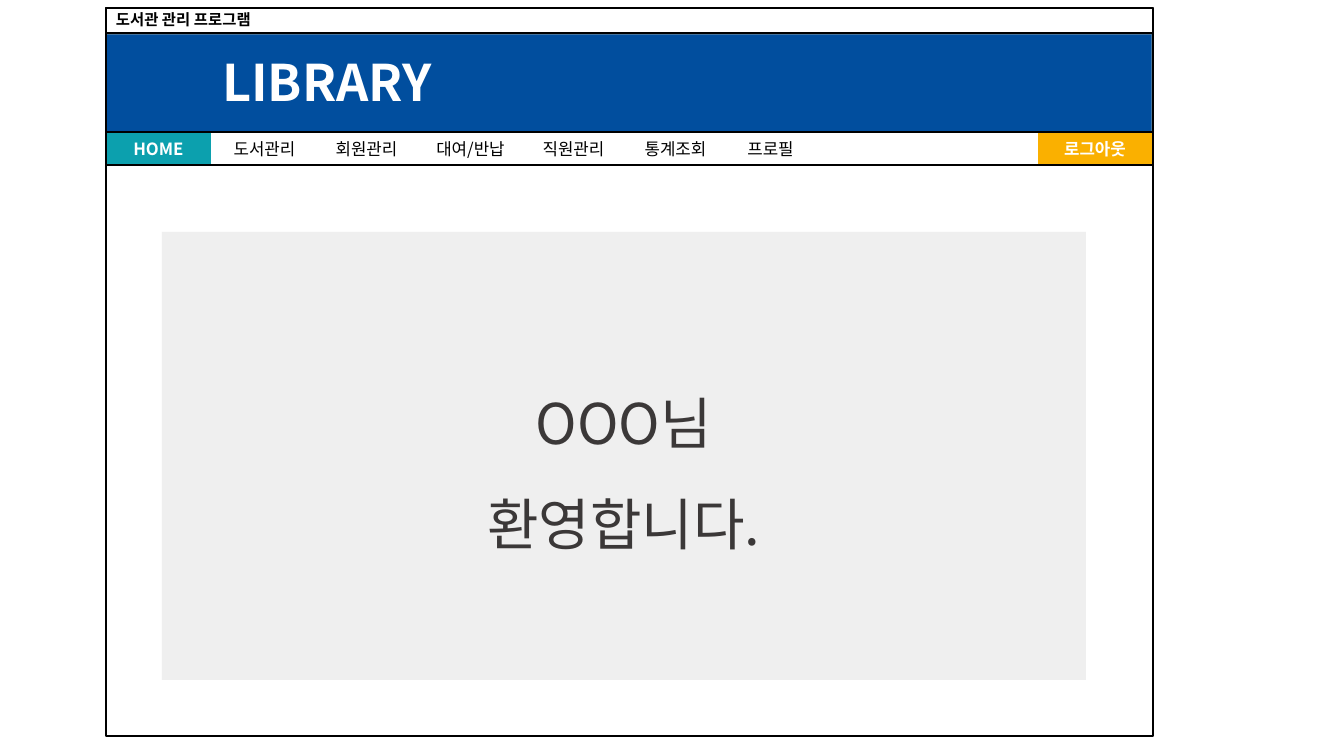
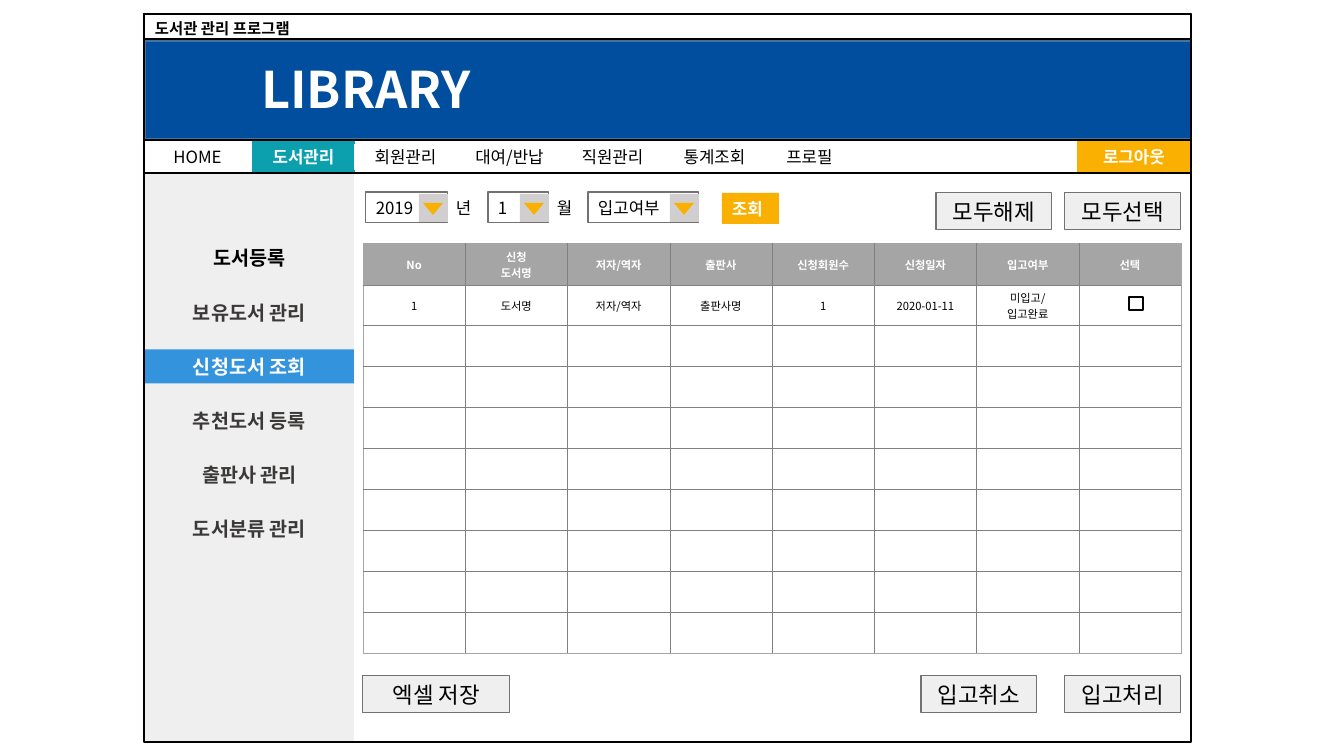
from dataclasses import dataclass

from lxml import etree
from pptx import Presentation
from pptx import util as u
from pptx.dml import color
from pptx.enum import shapes, text
from pptx.oxml import ns

CAPTION = "도서관 관리 프로그램"
TITLE = "LIBRARY"
LOGOUT = ("로그아웃", 932, 114)
TABS = [
    ("HOME", 0, 105),
    ("도서관리", 107, 103),
    ("회원관리", 209, 103),
    ("대여/반납", 313, 103),
    ("직원관리", 416, 103),
    ("통계조회", 518, 103),
    ("프로필", 613, 103),
]
WELCOME = ["OOO님", "환영합니다."]
MENU = ["도서등록", "보유도서 관리", "신청도서 조회", "추천도서 등록", "출판사 관리", "도서분류 관리"]
MENU_CURRENT = "신청도서 조회"
PICKERS = [("2019", 366, 82, "년"), ("1", 488, 61, "월"), ("입고여부", 588, 111, "")]
SEARCH = "조회"
BUTTONS = [
    ("모두해제", 936, 193, 116),
    ("모두선택", 1065, 193, 116),
    ("엑셀 저장", 363, 676, 147),
    ("입고취소", 921, 676, 116),
    ("입고처리", 1065, 676, 116),
]
HEADER = ["No", "신청\n도서명", "저자/역자", "출판사", "신청회원수", "신청일자", "입고여부", "선택"]
REQUEST = ["1", "도서명", "저자/역자", "출판사명", "1", "2020-01-11", "미입고/\n입고완료", ""]
EMPTY_ROWS = 8


@dataclass(frozen=True)
class Theme:
    font: str = "Noto Sans CJK KR"
    black: str = "000000"
    white: str = "FFFFFF"
    ink: str = "3B3838"
    blue: str = "014E9E"
    blue_edge: str = "43739E"
    teal: str = "0CA0AE"
    amber: str = "FAB000"
    sky: str = "3493DD"
    panel: str = "EFEFEF"
    picker: str = "D0CECE"
    edge: str = "767171"
    head: str = "A5A5A5"
    grid: str = "808080"
    welcome: int = 40
    title: int = 36
    button: int = 16
    menu: int = 14
    label: int = 12
    caption: int = 11
    cell: int = 8


THEME = Theme()
KIND = shapes.MSO_SHAPE
LEFT, CENTER = text.PP_ALIGN.LEFT, text.PP_ALIGN.CENTER
MIDDLE = text.MSO_ANCHOR.MIDDLE
BODY_LAYOUT, TITLE_LAYOUT = 1, 5
SCALE = u.Inches(1) / 100.8


def px(length):
    return u.Emu(round(length * SCALE))


def rgb(code):
    return color.RGBColor.from_string(code)


def assign(target, values):
    for name, value in values.items():
        setattr(target, name, value)


def place(item, area):
    assign(item, dict(zip(("left", "top", "width", "height"), map(px, area))))


def paint(item, fill=None, line=None, weight=1):
    if fill:
        item.fill.solid()
        item.fill.fore_color.rgb = rgb(fill)
    else:
        item.fill.background()
    if line:
        item.line.color.rgb = rgb(line)
        item.line.width = u.Pt(weight)
    else:
        item.line.fill.background()


def write(frame, lines, size, ink=THEME.black, bold=False, align=CENTER, paragraph=None):
    for index, line in enumerate(lines):
        para = frame.paragraphs[0] if index == 0 else frame.add_paragraph()
        assign(para, {"alignment": align, **(paragraph or {})})
        if not line:
            para._p.get_or_add_endParaRPr().set("sz", str(size * 100))
            continue
        span = para.add_run()
        span.text = line
        assign(span.font, {"size": u.Pt(size), "bold": bold, "name": THEME.font})
        span.font.color.rgb = rgb(ink)
        east = etree.SubElement(span.font._element, ns.qn("a:ea"))
        east.set("typeface", THEME.font)


def add_box(page, area, fill=None, line=None, weight=1, kind=KIND.RECTANGLE, label="", **style):
    box = page.shapes.add_shape(kind, *map(px, area))
    box.shadow.inherit = False
    paint(box, fill, line, weight)
    if label:
        assign(box.text_frame, {"word_wrap": True, "vertical_anchor": MIDDLE})
        write(box.text_frame, [label], **style)


def add_label(page, area, label, **style):
    box = page.shapes.add_textbox(*map(px, area))
    assign(box.text_frame, {"word_wrap": True, "vertical_anchor": MIDDLE})
    write(box.text_frame, [label], **style)


def fill_placeholder(page, holder, area, lines, frame=None, **style):
    page.shapes._spTree.append(holder._element)
    place(holder, area)
    assign(holder.text_frame, {
        "word_wrap": True, "vertical_anchor": MIDDLE,
        "auto_size": text.MSO_AUTO_SIZE.NONE, **(frame or {}),
    })
    write(holder.text_frame, lines, **style)


def plain_list(holder):
    for para in holder.text_frame.paragraphs:
        props = para._p.get_or_add_pPr()
        for name in ("marL", "indent"):
            props.set(name, "0")
        etree.SubElement(props, ns.qn("a:buNone"))


def add_window(deck, layout, left, caption_top, banner, nav, current):
    page = deck.slides.add_slide(deck.slide_layouts[layout])
    add_box(page, (left, banner, 1046, 98), THEME.blue, THEME.blue_edge)
    fill_placeholder(page, page.shapes.title, (left + 106, banner + 11, 230, 72), [TITLE],
                     frame={"margin_right": 0}, size=THEME.title, ink=THEME.white,
                     bold=True, align=LEFT)
    add_label(page, (left, caption_top, 309, 29), CAPTION, size=THEME.caption,
              bold=True, align=LEFT)
    for label, offset, width in TABS:
        active = label == current
        area = (left + offset, nav, width, 33) if active else (left + offset, nav + 4, width, 26)
        add_box(page, area, THEME.teal if active else THEME.white, kind=KIND.FLOWCHART_PROCESS,
                label=label, size=THEME.label, bold=active,
                ink=THEME.white if active else THEME.black)
    label, offset, width = LOGOUT
    add_box(page, (left + offset, nav, width, 33), THEME.amber, kind=KIND.FLOWCHART_PROCESS,
            label=label, size=THEME.label, ink=THEME.white, bold=True)
    return page


def add_outlines(page, left, top, nav):
    for y, height in ((top, 728), (top, 25), (nav, 33)):
        add_box(page, (left, y, 1047, height), line=THEME.black, kind=KIND.FLOWCHART_PROCESS)


def add_menu(page, left):
    first, pitch, width, height = 241, 54.2, 209, 34
    add_box(page, (left, 174, width, 567), THEME.panel)
    for index, label in enumerate(MENU):
        area = (left, first + pitch * index, width, height)
        style = {"size": THEME.menu, "bold": True}
        if label == MENU_CURRENT:
            add_box(page, area, THEME.sky, label=label, ink=THEME.white, **style)
        else:
            add_label(page, area, label, ink=THEME.ink if index else THEME.black, **style)


def add_picker(page, label, left, width, suffix):
    top, arrow = 192, 29
    style = {"size": THEME.label, "align": LEFT}
    add_box(page, (left, top, width, 31), line=THEME.edge, weight=0.75, label=label, **style)
    add_box(page, (left + width - arrow, top + 2, arrow, 28), THEME.picker)
    add_box(page, (left + width - arrow + 4, top + 11, 20, 12), THEME.amber,
            kind=KIND.FLOWCHART_MERGE)
    if suffix:
        add_label(page, (left + width - 2, top + 1, 23, 30), suffix, **style)


def border(cell, edges):
    props = cell._tc.get_or_add_tcPr()
    for index, (side, (code, weight)) in enumerate(edges.items()):
        line = etree.Element(ns.qn("a:" + side), w=str(u.Pt(weight)))
        fill = etree.SubElement(line, ns.qn("a:solidFill"))
        etree.SubElement(fill, ns.qn("a:srgbClr"), val=code)
        props.insert(index, line)


def add_requests(page):
    rows = [HEADER, REQUEST] + [[""] * len(HEADER)] * EMPTY_ROWS
    heights = [42, 40] + [41] * EMPTY_ROWS
    last_row, last_col = len(rows) - 1, len(HEADER) - 1
    area = (363, 243.5, 818.4, sum(heights))
    table = page.shapes.add_table(len(rows), len(HEADER), *map(px, area)).table
    assign(table, {"first_row": False, "horz_banding": False})
    outer, inner = (THEME.head, 0.5), (THEME.grid, 0.25)
    for r, row in enumerate(rows):
        table.rows[r].height = px(heights[r])
        for c, value in enumerate(row):
            cell = table.cell(r, c)
            assign(cell, {"vertical_anchor": MIDDLE, "margin_top": px(2), "margin_bottom": px(2)})
            if r == 0:
                cell.fill.solid()
                cell.fill.fore_color.rgb = rgb(THEME.head)
            else:
                cell.fill.background()
            write(cell.text_frame, value.split("\n"), THEME.cell,
                  THEME.black if r else THEME.white, bold=r == 0)
            border(cell, {
                "lnL": inner if c else outer,
                "lnR": outer if c == last_col else inner,
                "lnT": inner if r else outer,
                "lnB": outer if r == last_row else inner,
            })
    add_box(page, (1129, 297, 14, 13), THEME.white, THEME.black)


def add_home(deck):
    left, top, nav = 106, 8, 132
    page = add_window(deck, BODY_LAYOUT, left, 5, 34, nav, "HOME")
    holder = page.placeholders[1]
    fill_placeholder(page, holder, (162, 232, 924, 448), WELCOME, size=THEME.welcome,
                     ink=THEME.ink, paragraph={"line_spacing": 1.5, "space_before": u.Pt(0)})
    plain_list(holder)
    paint(holder, THEME.panel)
    add_outlines(page, left, top, nav)


def add_request_page(deck):
    left, top, nav = 145, 14, 140
    page = add_window(deck, TITLE_LAYOUT, left, 14, 41, nav, "도서관리")
    add_menu(page, left)
    add_requests(page)
    for picker in PICKERS:
        add_picker(page, *picker)
    add_box(page, (722, 193, 57, 31), THEME.amber, label=SEARCH, size=THEME.label,
            ink=THEME.white, bold=True, align=LEFT)
    for label, x, y, width in BUTTONS:
        add_box(page, (x, y, width, 37), THEME.panel, THEME.edge, 0.75, label=label,
                size=THEME.button)
    add_outlines(page, left - 1, top, nav)


deck = Presentation()
assign(deck, {"slide_width": px(1344), "slide_height": px(756)})
add_home(deck)
add_request_page(deck)
deck.save("out.pptx")
